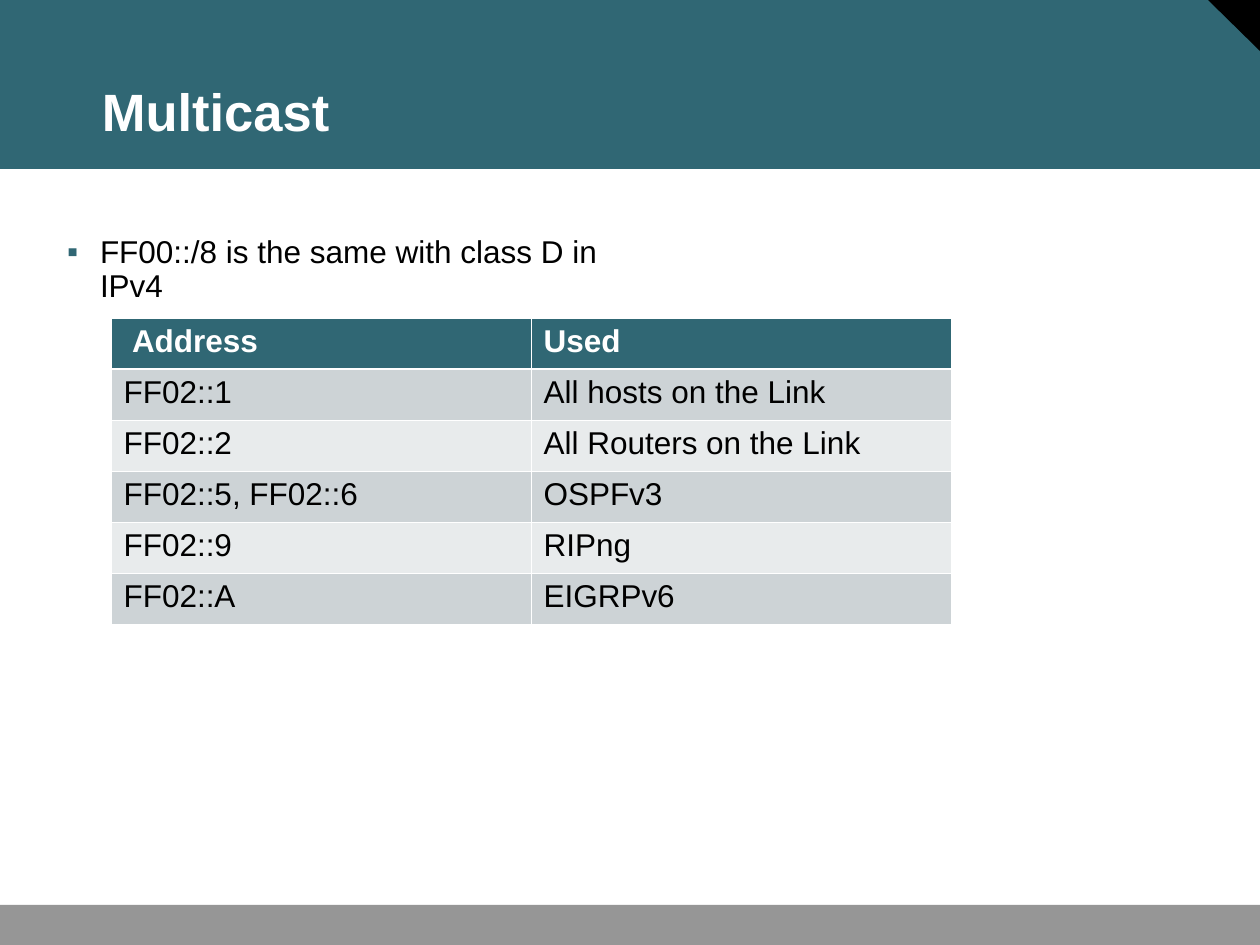
from lxml import etree
from pptx import Presentation
from pptx.dml.color import RGBColor
from pptx.enum.shapes import MSO_SHAPE
from pptx.enum.text import MSO_ANCHOR, MSO_AUTO_SIZE, PP_ALIGN
from pptx.oxml.ns import qn
from pptx.util import Pt

PX = 914400 // 126
RECT, CORNER = MSO_SHAPE.RECTANGLE, MSO_SHAPE.RIGHT_TRIANGLE
LEFT, TOP, BOTTOM = PP_ALIGN.LEFT, MSO_ANCHOR.TOP, MSO_ANCHOR.BOTTOM
HUES = {"teal": "306774", "black": "000000", "gray": "969696",
        "white": "FFFFFF", "dark": "CDD3D6", "light": "E8EBEC"}


def style(para, size, hue, bold=False):
    para.alignment = LEFT
    para.font.color.rgb = RGBColor.from_string(HUES[hue])
    for name, value in {"name": "Arial", "size": Pt(size), "bold": bold}.items():
        setattr(para.font, name, value)


def edge(cell, side, width):
    """Draw a white border on one side of a table cell."""
    line = etree.SubElement(cell._tc.get_or_add_tcPr(), qn("a:" + side), w=str(Pt(width)))
    fill = etree.SubElement(line, qn("a:solidFill"))
    etree.SubElement(fill, qn("a:srgbClr"), val=HUES["white"])


prs = Presentation()
prs.slide_width, prs.slide_height = 1260 * PX, 945 * PX
slide = prs.slides.add_slide(prs.slide_layouts[1])
shapes = slide.shapes
title, body = slide.placeholders

# Header band, folded corner and footer band
bands = [
    (RECT, "teal", (0, 0, 1260, 169), 0),
    (CORNER, "black", (1207, -1, 53, 52), 180),
    (RECT, "gray", (0, 905, 1260, 40), 0),
]
for kind, hue, box, turn in bands:
    band = shapes.add_shape(kind, *[n * PX for n in box])
    band.rotation = turn
    band.shadow.inherit = False
    band.fill.solid()
    band.fill.fore_color.rgb = RGBColor.from_string(HUES[hue])
    band.line.fill.background()

# Title and bullet, in front of the bands
texts = [
    (title, "Multicast", (91, 32, 1122, 116), (11, 5), BOTTOM, True, 30, "white"),
    (body, "FF00::/8 is the same with class D in IPv4",
     (67, 236, 601, 82), (0, 0), TOP, False, 18, "black"),
]
for holder, words, box, (side, end), anchor, wrap, size, hue in texts:
    shapes._spTree.append(holder._element)
    for name, n in zip(("left", "top", "width", "height"), box):
        setattr(holder, name, n * PX)
    frame = holder.text_frame
    frame.text = words
    form = {"margin_left": side * PX, "margin_right": side * PX,
            "margin_top": end * PX, "margin_bottom": end * PX,
            "vertical_anchor": anchor, "word_wrap": wrap,
            "auto_size": MSO_AUTO_SIZE.NONE}
    for name, value in form.items():
        setattr(frame, name, value)
    para = frame.paragraphs[0]
    para.line_spacing = 0.9
    para.space_before = Pt(0)
    if holder is body:
        props = para._p.get_or_add_pPr()
        props.set("marL", str(33 * PX))
        props.set("indent", str(-33 * PX))
        tint = etree.SubElement(props, qn("a:buClr"))
        etree.SubElement(tint, qn("a:srgbClr"), val=HUES["teal"])
        etree.SubElement(props, qn("a:buFont"), typeface="Arial")
        etree.SubElement(props, qn("a:buChar"), char="▪")
    style(para, size, hue, holder is title)

# Address table
rows = [
    ("Address", "Used"),
    ("FF02::1", "All hosts on the Link"),
    ("FF02::2", "All Routers on the Link"),
    ("FF02::5, FF02::6", "OSPFv3"),
    ("FF02::9", "RIPng"),
    ("FF02::A", "EIGRPv6"),
]
table = shapes.add_table(len(rows), 2, 111 * PX, 318 * PX,
                         840 * PX, 51 * len(rows) * PX).table
for r, row in enumerate(rows):
    head = r == 0
    hue = "teal" if head else "dark" if r % 2 else "light"
    for c, words in enumerate(row):
        cell = table.cell(r, c)
        cell.text = words
        style(cell.text_frame.paragraphs[0], 18, "white" if head else "black", head)
        for side in ("lnL", "lnR", "lnT", "lnB"):
            thick = (r, side) in ((0, "lnB"), (1, "lnT"))
            edge(cell, side, 1.5 if thick else 0.5)
        cell.fill.solid()
        cell.fill.fore_color.rgb = RGBColor.from_string(HUES[hue])
table.cell(0, 0).margin_left = 21 * PX

prs.save("out.pptx")
